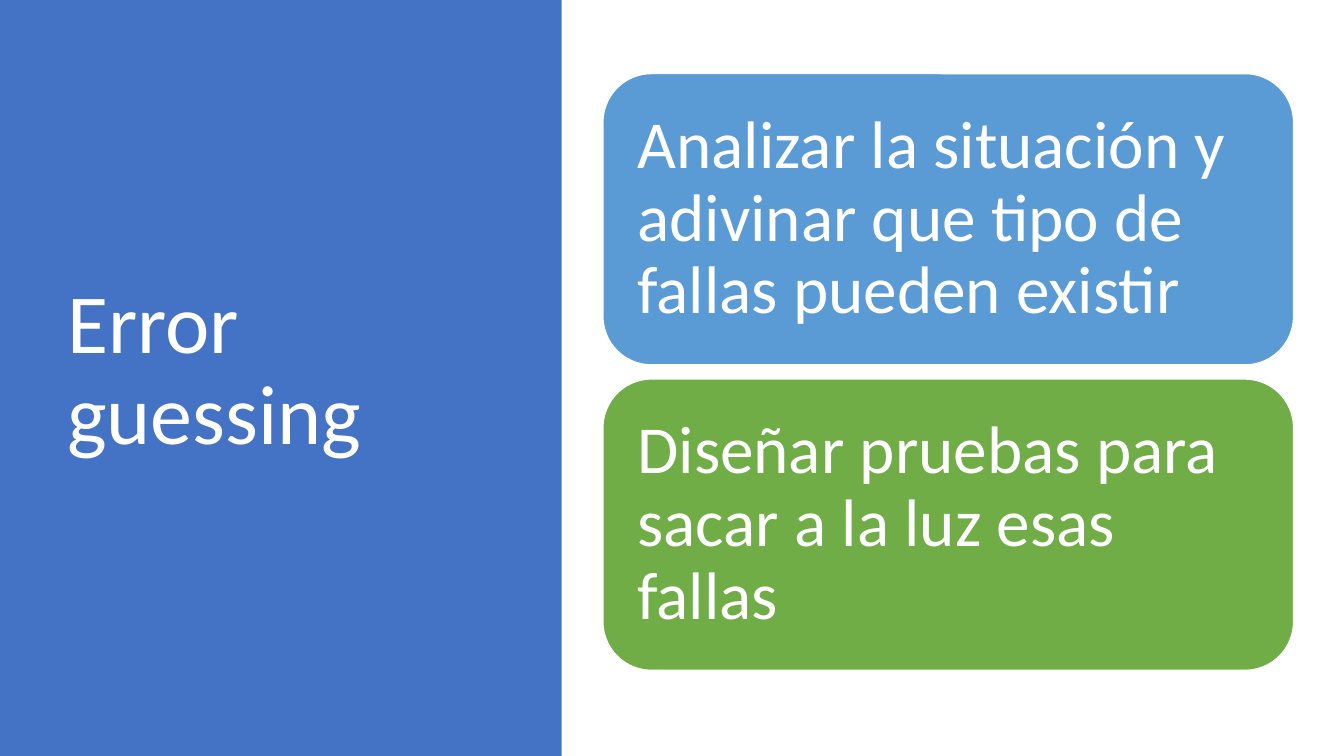
from pptx import Presentation
from pptx.dml.color import RGBColor
from pptx.enum.shapes import MSO_SHAPE
from pptx.enum.text import MSO_ANCHOR, PP_ALIGN
from pptx.util import Inches, Pt

RECTANGLE, ROUNDED = MSO_SHAPE.RECTANGLE, MSO_SHAPE.ROUNDED_RECTANGLE
MIDDLE, LEFT = MSO_ANCHOR.MIDDLE, PP_ALIGN.LEFT
WIDTH, HEIGHT = 13.33, 7.5
WHITE = "FFFFFF"


def add_block(kind, left, top, width, height, fill, line=None):
    block = slide.shapes.add_shape(
        kind, Inches(left), Inches(top), Inches(width), Inches(height))
    block.shadow.inherit = False
    block.fill.solid()
    block.fill.fore_color.rgb = RGBColor.from_string(fill)
    if line:
        block.line.color.rgb = RGBColor.from_string(line)
        block.line.width = Pt(1)
    else:
        block.line.fill.background()
    return block


def write(shape, text, size, inset_x, inset_y, color=WHITE, font="Calibri"):
    frame = shape.text_frame
    frame.word_wrap = True
    frame.vertical_anchor = MIDDLE
    frame.margin_left = frame.margin_right = Inches(inset_x)
    frame.margin_top = frame.margin_bottom = Inches(inset_y)
    paragraph = frame.paragraphs[0]
    paragraph.alignment = LEFT
    paragraph.line_spacing = 0.9
    run = paragraph.add_run()
    run.text = text
    run.font.size = Pt(size)
    run.font.name = font
    run.font.color.rgb = RGBColor.from_string(color)


deck = Presentation()
deck.slide_width, deck.slide_height = Inches(WIDTH), Inches(HEIGHT)
slide = deck.slides.add_slide(deck.slide_layouts[6])

add_block(RECTANGLE, 0, 0, 5.57, HEIGHT, "4472C4")
title = slide.shapes.add_textbox(
    Inches(0.57), Inches(0.68), Inches(4.16), Inches(6.02))
write(title, "Error guessing", size=60, inset_x=0.1, inset_y=0.05)

steps = [
    ("Analizar la situación y adivinar que tipo de fallas pueden existir", "5B9BD5"),
    ("Diseñar pruebas para sacar a la luz esas fallas", "70AD47"),
]
STEP_LEFT, STEP_TOP, STEP_WIDTH, STEP_HEIGHT, GAP = 5.98, 0.73, 6.85, 2.89, 0.14
for row, (step, fill) in enumerate(steps):
    top = STEP_TOP + row * (STEP_HEIGHT + GAP)
    card = add_block(ROUNDED, STEP_LEFT, top, STEP_WIDTH, STEP_HEIGHT, fill, line=WHITE)
    write(card, step, size=48, inset_x=0.2, inset_y=0.2)

deck.save("out.pptx")
